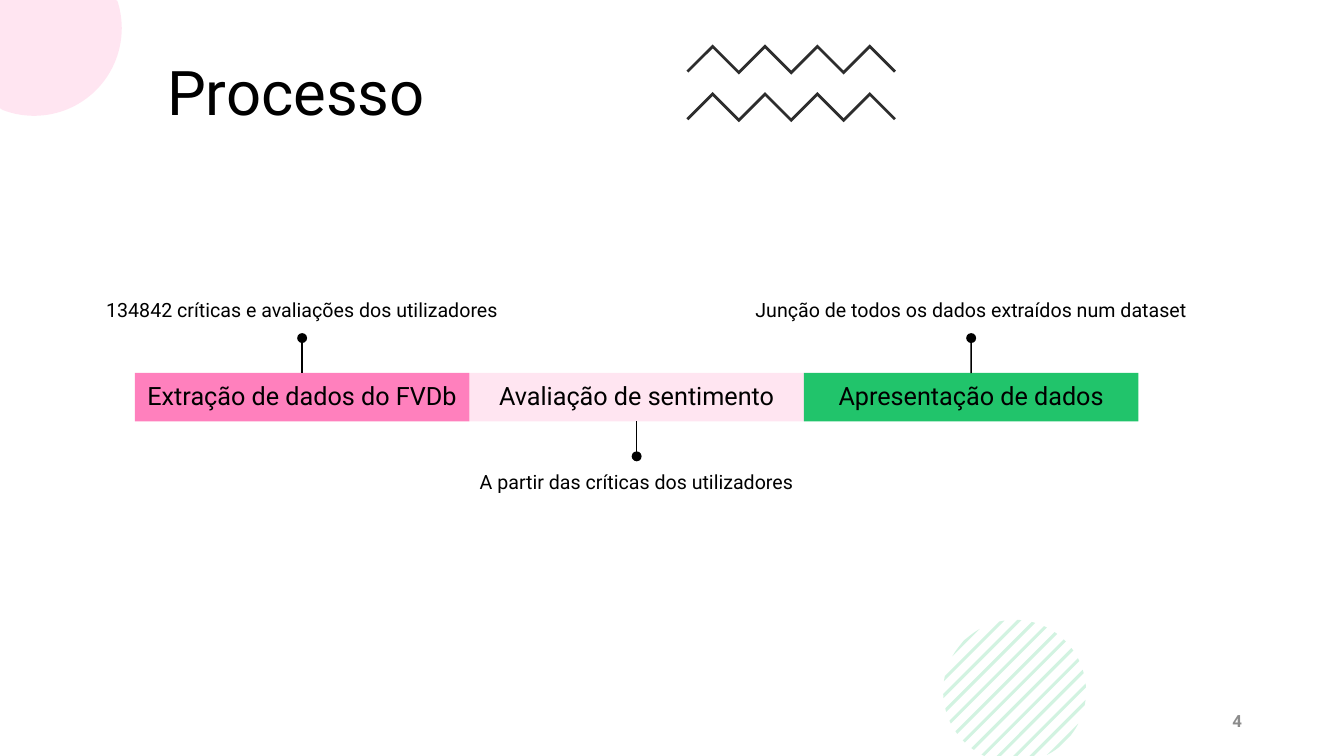
import math
from lxml import etree
from pptx import Presentation
from pptx import util as u
from pptx.dml.color import RGBColor
from pptx.enum import shapes, text
from pptx.oxml.ns import qn

PINK = RGBColor(0xFF, 0x80, 0xBD)
GREEN = RGBColor(0x21, 0xC4, 0x6B)
BLACK = RGBColor(0, 0, 0)
DARK = RGBColor(0x2D, 0x2D, 0x2D)
GRAY = RGBColor(0x8C, 0x8C, 0x8C)
FONT = "Roboto"
SLIDE_W, SLIDE_H = 33.87, 19.05

TITLE = "Processo"
PAGE = "4"
STEPS = [
    ("Extração de dados do FVDb", PINK, 100,
     "134842 críticas e avaliações dos utilizadores", True),
    ("Avaliação de sentimento", PINK, 20,
     "A partir das críticas dos utilizadores", False),
    ("Apresentação de dados", GREEN, 100,
     "Junção de todos os dados extraídos num dataset", True),
]
BAR_X, BAR_Y, BAR_W, BAR_H = 3.4, 9.4, 8.43, 1.22
STEM, DOT_GAP, DOT = 0.97, 0.88, 0.25
CAPTION_GAP, CAPTION_W, CAPTION_H = 1.2, 14.07, 4.24

CORNER_X, CORNER_Y, CORNER_R = 0.86, 0.71, 2.21
HATCH_X, HATCH_Y, HATCH_R = 25.57, 17.42, 1.8
STRIPES, STRIPE_START, STRIPE_STEP, STRIPE_W = 13, 40.54, 0.415, 0.11
ZIGZAG_X, ZIGZAG_TOPS, ZIGZAG_STEP = 17.3, (1.12, 2.32), 0.66


def paint(sp, color, alpha=100):
    sp.shadow.inherit = False
    sp.fill.solid()
    sp.fill.fore_color.rgb = color
    sp.line.fill.background()
    if alpha < 100:
        for clr in sp.element.spPr.iter(qn("a:srgbClr")):
            etree.SubElement(clr, qn("a:alpha"), val=str(alpha * 1000))


def outline(s, points, color, alpha=100):
    pts = [(u.Cm(x), u.Cm(y)) for x, y in points]
    fb = s.shapes.build_freeform(*pts[0])
    fb.add_line_segments(pts[1:], close=True)
    paint(fb.convert_to_shape(), color, alpha)


def write(sp, content, size, align, anchor, inset, color=BLACK, bold=False, spacing=0.9):
    tf = sp.text_frame
    tf.word_wrap = True
    tf.vertical_anchor = anchor
    tf.margin_left = tf.margin_right = u.Cm(inset[0])
    tf.margin_top = tf.margin_bottom = u.Cm(inset[1])
    p = tf.paragraphs[0]
    p.text = content
    p.alignment = align
    p.line_spacing = spacing
    p.font.name = FONT
    p.font.size = u.Pt(size)
    p.font.bold = bold
    p.font.color.rgb = color


def box(s, x, y, w, h):
    return s.shapes.add_textbox(u.Cm(x), u.Cm(y), u.Cm(w), u.Cm(h))


def chord(total):
    d = (total - HATCH_X - HATCH_Y) / 2
    half = math.sqrt(max(0, HATCH_R ** 2 / 2 - d ** 2))
    y = min(HATCH_Y + d + half, SLIDE_H)
    return (HATCH_X + d + half, HATCH_Y + d - half), (total - y, y)


def hatch(s):
    for i in range(STRIPES):
        end = STRIPE_START + i * STRIPE_STEP
        chords = [chord(end - STRIPE_W * k / 4) for k in range(5)]
        right = [c[0] for c in chords]
        left = [c[1] for c in reversed(chords)]
        outline(s, right + left, GREEN, 20)


def corner(s):
    angles = [math.radians(a) for a in range(0, 360, 3)]
    outline(s, [(max(0, CORNER_X + CORNER_R * math.cos(a)),
                 max(0, CORNER_Y + CORNER_R * math.sin(a))) for a in angles], PINK, 20)


def zigzags(s):
    for top in ZIGZAG_TOPS:
        crest = [(ZIGZAG_X + i * ZIGZAG_STEP, top + (0 if i % 2 else ZIGZAG_STEP))
                 for i in range(9)]
        base = [(x, y + 0.1) for x, y in crest]
        base[0] = (base[0][0] - 0.03 + 0.08, base[0][1] - 0.05)
        base[-1] = (base[-1][0] - 0.05, base[-1][1] - 0.05)
        outline(s, crest + base[::-1], DARK)


def step(s, i, label, color, alpha, caption, above):
    x = BAR_X + i * BAR_W
    mid = x + BAR_W / 2
    edge, sign = (BAR_Y, -1) if above else (BAR_Y + BAR_H, 1)

    bar = s.shapes.add_shape(shapes.MSO_SHAPE.RECTANGLE, u.Cm(x), u.Cm(BAR_Y),
                             u.Cm(BAR_W), u.Cm(BAR_H))
    paint(bar, color, alpha)
    write(bar, label, 18, text.PP_ALIGN.CENTER, text.MSO_ANCHOR.MIDDLE, (0.15, 0))

    top = edge + sign * CAPTION_GAP - (CAPTION_H if above else 0)
    anchor = text.MSO_ANCHOR.BOTTOM if above else text.MSO_ANCHOR.TOP
    write(box(s, mid - CAPTION_W / 2, top, CAPTION_W, CAPTION_H), caption, 14,
          text.PP_ALIGN.CENTER, anchor, (0.25, 0.08))

    stem = s.shapes.add_connector(shapes.MSO_CONNECTOR.STRAIGHT, u.Cm(mid),
                                  u.Cm(edge + sign * STEM), u.Cm(mid), u.Cm(edge))
    stem.end_connect(bar, 0 if above else 2)
    stem.line.color.rgb = BLACK
    stem.line.width = u.Pt(1)
    etree.SubElement(stem.element.spPr, qn("a:effectLst"))

    dot = s.shapes.add_shape(shapes.MSO_SHAPE.OVAL, u.Cm(mid - DOT / 2),
                             u.Cm(edge + sign * DOT_GAP - DOT / 2), u.Cm(DOT), u.Cm(DOT))
    paint(dot, BLACK)


def main():
    prs = Presentation()
    prs.slide_width, prs.slide_height = u.Cm(SLIDE_W), u.Cm(SLIDE_H)
    s = prs.slides.add_slide(prs.slide_layouts[6])
    hatch(s)
    corner(s)
    zigzags(s)
    write(box(s, 3.96, 1.45, 11.53, 2.54), TITLE, 44, text.PP_ALIGN.LEFT,
          text.MSO_ANCHOR.TOP, (0.25, 0.13))
    write(box(s, 23.93, 17.65, 7.62, 1.02), PAGE, 12, text.PP_ALIGN.RIGHT,
          text.MSO_ANCHOR.MIDDLE, (0.25, 0.13), GRAY, True, 1.0)
    for i, item in enumerate(STEPS):
        step(s, i, *item)
    prs.save("out.pptx")


if __name__ == "__main__":
    main()
